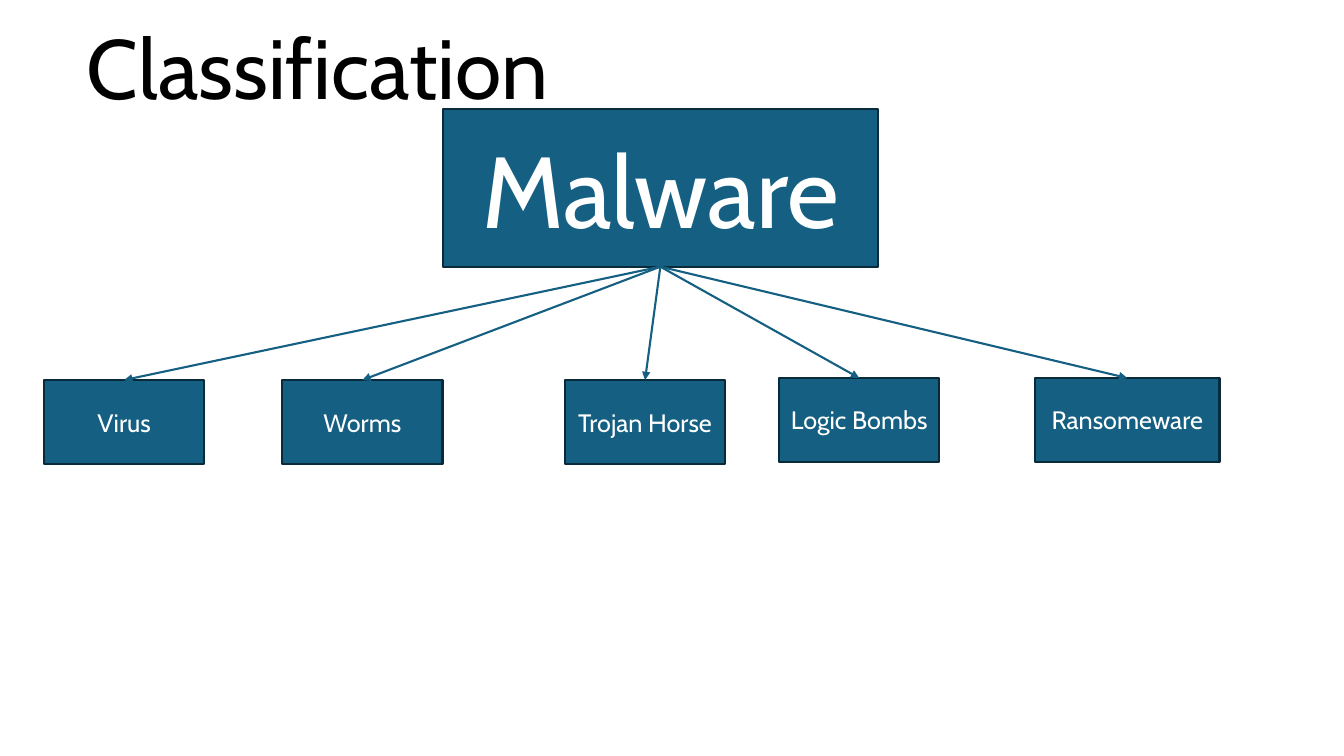
from dataclasses import dataclass

from lxml import etree
from pptx import Presentation
from pptx import util as u
from pptx.dml.color import RGBColor
from pptx.enum import shapes, text
from pptx.oxml import ns
from pptx.shapes.autoshape import Shape
from pptx.slide import Slide


@dataclass(frozen=True)
class Theme:
    """Colours, font and sizes of the slide."""
    font: str = "Cabin"
    ink: RGBColor = RGBColor(0, 0, 0)
    paper: RGBColor = RGBColor(255, 255, 255)
    fill: RGBColor = RGBColor(0x15, 0x60, 0x82)
    border: RGBColor = RGBColor(0x09, 0x2A, 0x39)
    line_width: float = 1.5
    title_size: int = 60
    root_size: int = 72
    leaf_size: int = 18


@dataclass(frozen=True)
class Node:
    """A labelled rectangle, measured in points."""
    label: str
    left: float
    top: float
    width: float = 114.5
    height: float = 59.8


THEME = Theme()
TITLE = Node("Classification", 14.4, 59, 424.8, 28.8)
ROOT = Node("Malware", 316.2, 77.8, 311, 112.7)
LEAVES = (
    Node("Virus", 31.4, 271.5),
    Node("Worms", 201.6, 271.5),
    Node("Trojan Horse", 403.5, 271.5),
    Node("Logic Bombs", 556.5, 270),
    Node("Ransomeware", 739.3, 270, 131.8),
)


def bounds(node: Node) -> tuple[u.Length, ...]:
    """Return the position and size of a node."""
    return tuple(u.Pt(value) for value in (node.left, node.top, node.width, node.height))


def write_label(box: Shape, label: str, size: int, color: RGBColor,
                anchor: text.MSO_ANCHOR) -> None:
    """Write one centred line into a box."""
    frame = box.text_frame
    frame.text = label
    frame.word_wrap = True
    frame.vertical_anchor = anchor
    para = frame.paragraphs[0]
    para.alignment = text.PP_ALIGN.CENTER
    span = para.runs[0]
    span.font.name = THEME.font
    span.font.size = u.Pt(size)
    span.font.color.rgb = color


def draw_title(page: Slide, node: Node) -> None:
    """Draw the slide title."""
    box = page.shapes.add_textbox(*bounds(node))
    write_label(box, node.label, THEME.title_size, THEME.ink, text.MSO_ANCHOR.BOTTOM)
    box.text_frame.paragraphs[0].line_spacing = 0.9


def draw_node(page: Slide, node: Node, size: int) -> Shape:
    """Draw a filled rectangle with its label."""
    box = page.shapes.add_shape(shapes.MSO_SHAPE.RECTANGLE, *bounds(node))
    box.shadow.inherit = False
    box.fill.solid()
    box.fill.fore_color.rgb = THEME.fill
    box.line.color.rgb = THEME.border
    box.line.width = u.Pt(THEME.line_width)
    write_label(box, node.label, size, THEME.paper, text.MSO_ANCHOR.MIDDLE)
    return box


def draw_arrow(page: Slide, parent: Shape, child: Shape) -> None:
    """Join the bottom of the parent to the top of the child."""
    arrow = page.shapes.add_connector(
        shapes.MSO_CONNECTOR.STRAIGHT, u.Pt(0), u.Pt(0), u.Pt(0), u.Pt(0))
    arrow.begin_connect(parent, 2)
    arrow.end_connect(child, 0)
    arrow.line.color.rgb = THEME.fill
    arrow.line.width = u.Pt(THEME.line_width)
    etree.SubElement(arrow.line._get_or_add_ln(), ns.qn("a:tailEnd"), type="triangle")
    etree.SubElement(arrow._element.spPr, ns.qn("a:effectLst"))


def main() -> None:
    """Build the classification slide."""
    deck = Presentation()
    deck.slide_width, deck.slide_height = u.Pt(960), u.Pt(540)
    page = deck.slides.add_slide(deck.slide_layouts[6])
    draw_title(page, TITLE)
    root = draw_node(page, ROOT, THEME.root_size)
    leaves = [draw_node(page, node, THEME.leaf_size) for node in LEAVES]
    for leaf in leaves:
        draw_arrow(page, root, leaf)
    deck.save("out.pptx")


if __name__ == "__main__":
    main()
